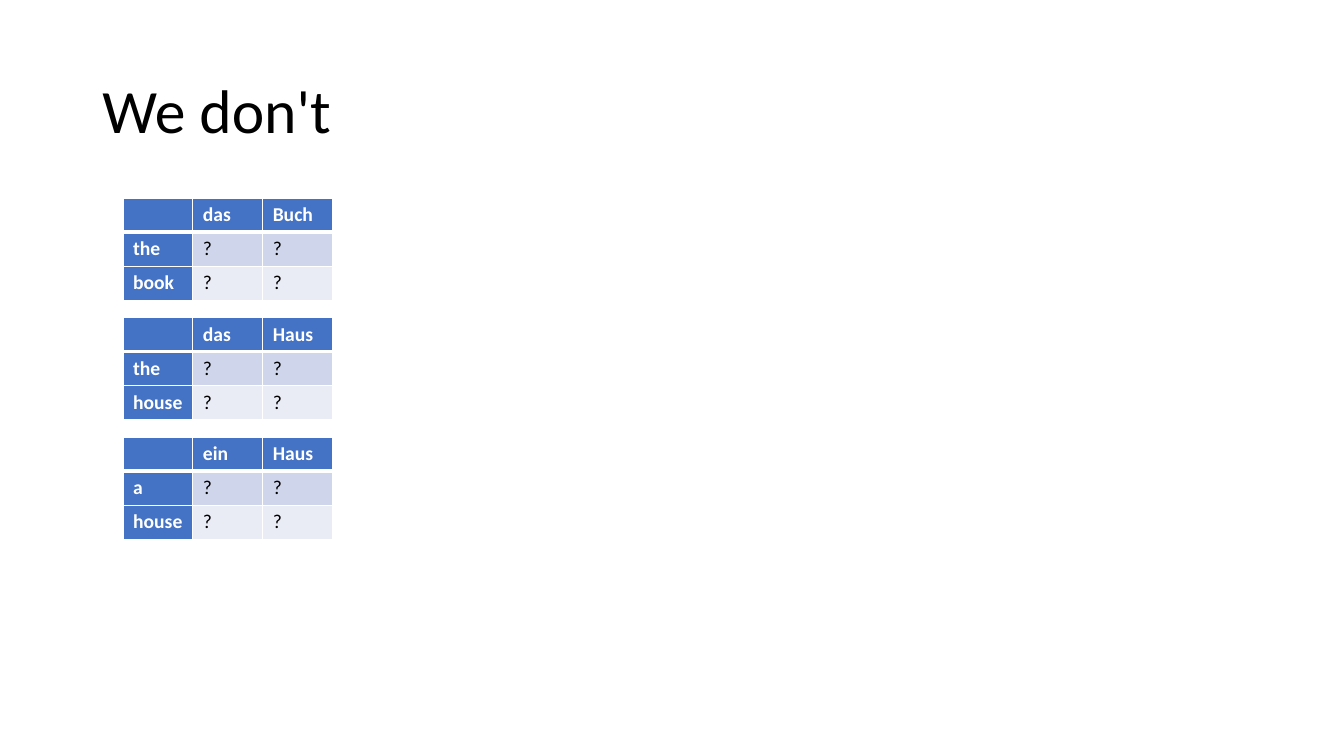
from lxml import etree
from pptx import Presentation, util as u
from pptx.dml.color import RGBColor
from pptx.enum import text
from pptx.oxml.ns import qn

BLUE, WHITE, BLACK = "4472C4", "FFFFFF", "000000"
BANDS = ["CFD5EA", "E9EBF5"]
SIZE = 14

# German words across, English words down
PAIRS = [
    (["das", "Buch"], ["the", "book"]),
    (["das", "Haus"], ["the", "house"]),
    (["ein", "Haus"], ["a", "house"]),
]
LEFT, TOP, STEP = 3.1, 4.99, 3.01
COL, ROW = 1.76, 0.86


def paint(color, value):
    color.rgb = RGBColor.from_string(value)


def write(frame, words, color, **form):
    run = frame.paragraphs[0].add_run()
    run.text = words
    for key, value in {"name": "Calibri", **form}.items():
        setattr(run.font, key, value)
    paint(run.font.color, color)


def edge(cell, side, width):
    props = cell._tc.get_or_add_tcPr()
    line = etree.SubElement(props, qn("a:ln" + side), w=str(u.Pt(width)))
    fill = etree.SubElement(line, qn("a:solidFill"))
    etree.SubElement(fill, qn("a:srgbClr"), val=WHITE)


def add_title(slide, words):
    box = slide.shapes.add_textbox(u.Cm(2.33), u.Cm(1.01), u.Cm(29.21), u.Cm(3.68))
    frame = box.text_frame
    form = {"word_wrap": True, "vertical_anchor": text.MSO_ANCHOR.MIDDLE}
    for key, value in form.items():
        setattr(frame, key, value)
    frame.paragraphs[0].line_spacing = 0.9
    write(frame, words, BLACK, size=u.Pt(44))


def fill_cell(cell, words, row, col):
    head = row == 0 or col == 0
    # A slim right margin keeps the longest word on one line
    cell.margin_right = u.Cm(0.1)
    # The rule under the header row is thicker
    for side in "LRTB":
        thick = (row, side) in [(0, "B"), (1, "T")]
        edge(cell, side, 3 if thick else 1)
    cell.fill.solid()
    paint(cell.fill.fore_color, BLUE if head else BANDS[row - 1])
    if words:
        write(cell.text_frame, words, WHITE if head else BLACK,
              size=u.Pt(SIZE), bold=head)
    else:
        # An empty cell keeps the row height of its neighbours
        para = cell.text_frame.paragraphs[0]._p
        para.get_or_add_endParaRPr().set("sz", str(SIZE * 100))


def add_grid(slide, top, across, down):
    rows = [["", *across]] + [[word, "?", "?"] for word in down]
    size = len(rows)
    table = slide.shapes.add_table(size, size, u.Cm(LEFT), u.Cm(top),
                                   u.Cm(COL * size), u.Cm(ROW * size)).table
    table.first_col = True
    for col in table.columns:
        col.width = u.Cm(COL)
    for r, line in enumerate(rows):
        table.rows[r].height = u.Cm(ROW)
        for c, words in enumerate(line):
            fill_cell(table.cell(r, c), words, r, c)


def main():
    deck = Presentation()
    deck.slide_width, deck.slide_height = u.Cm(33.87), u.Cm(19.05)
    slide = deck.slides.add_slide(deck.slide_layouts[6])
    add_title(slide, "We don't")
    # One table per phrase pair, evenly stacked
    for i, (across, down) in enumerate(PAIRS):
        add_grid(slide, TOP + i * STEP, across, down)
    deck.save("out.pptx")


if __name__ == "__main__":
    main()
